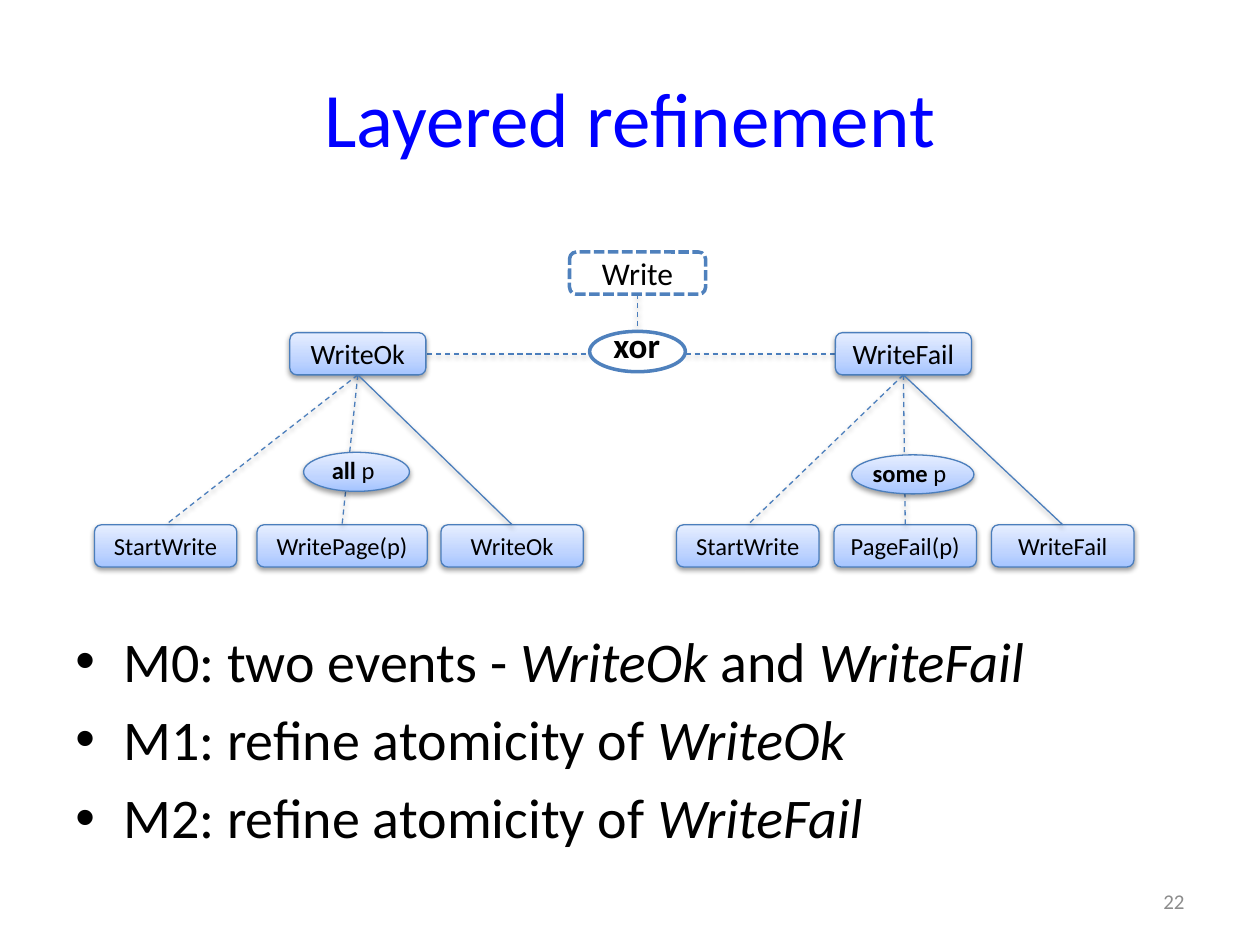
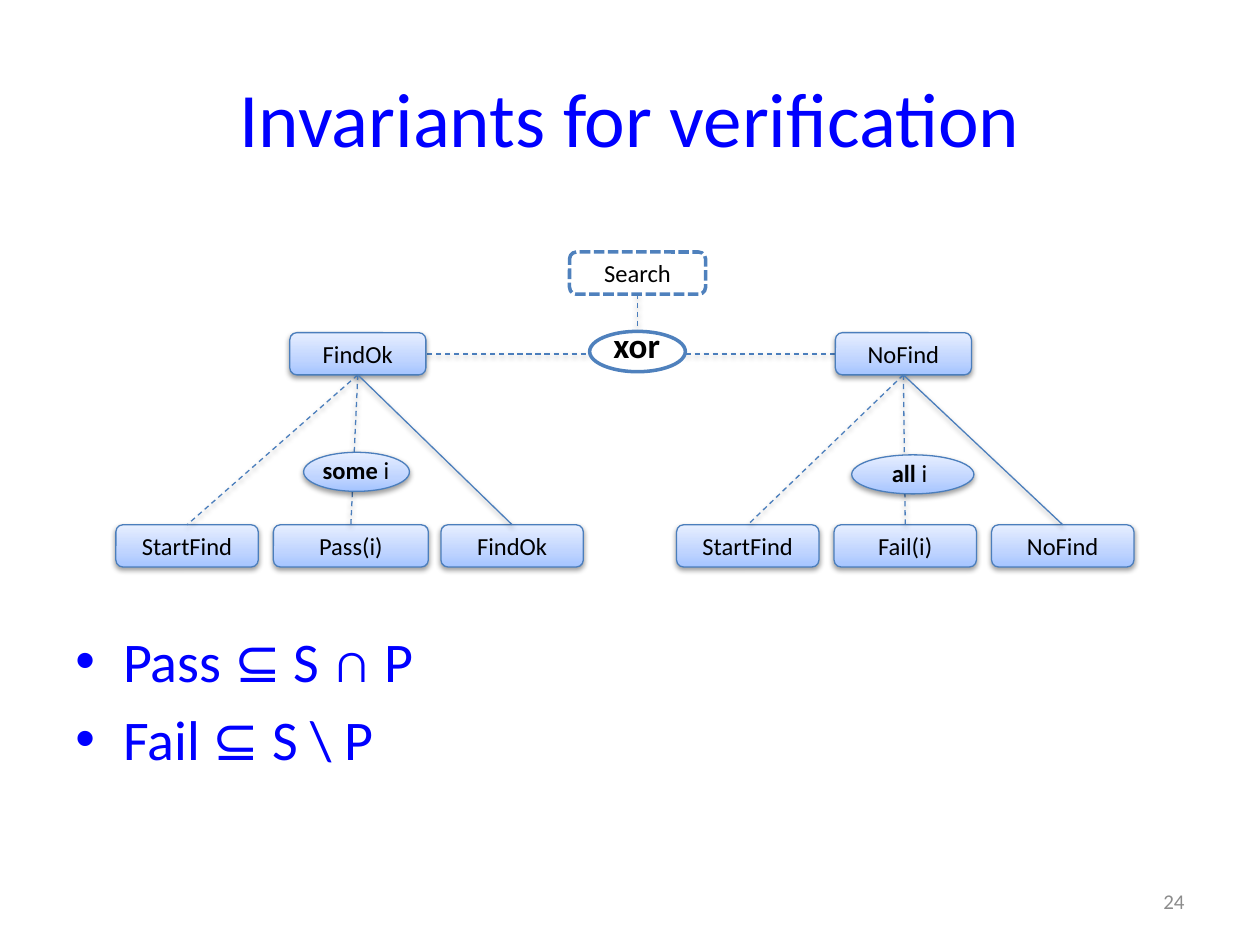
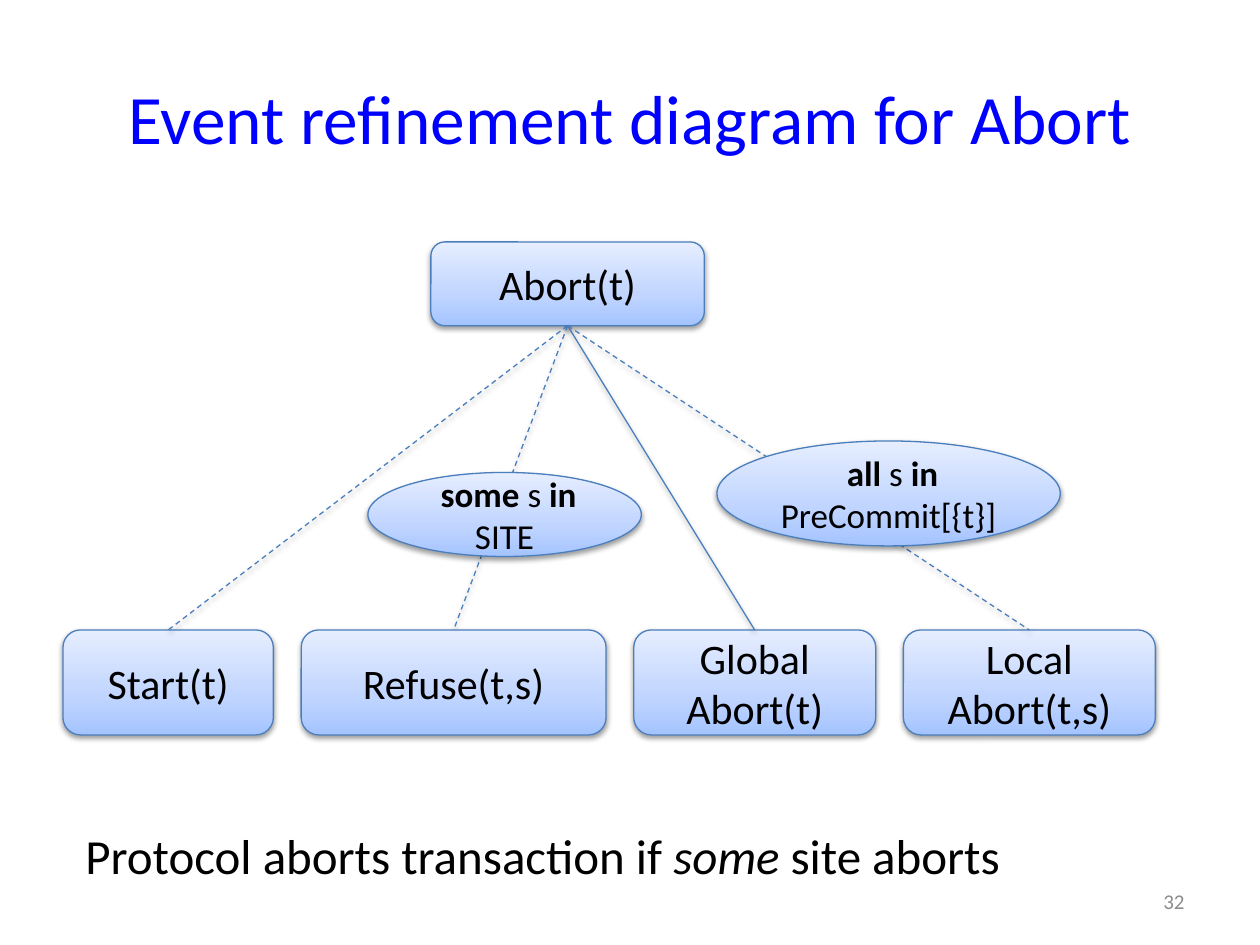
from lxml import etree
from pptx import Presentation
from pptx import util as u
from pptx.dml.color import RGBColor
from pptx.enum import dml, shapes, text
from pptx.oxml import parse_xml
from pptx.oxml.ns import nsdecls, qn

COLS, ROWS = 100, 75
FONT = "Calibri"
BLACK, WHITE, BLUE, GREY = "000000", "FFFFFF", "0000FF", "8C8C8C"
EDGE, FRAME = "4B7EBC", "4F81BD"
STOPS = ((0, "A4C4FF"), (35, "BFD4FF"), (100, "E6EEFF"))
LEFT, MID, RIGHT = text.PP_ALIGN.LEFT, text.PP_ALIGN.CENTER, text.PP_ALIGN.RIGHT
ROUND = shapes.MSO_SHAPE.ROUNDED_RECTANGLE
OVAL = shapes.MSO_SHAPE.OVAL
DASH, DOTS = dml.MSO_LINE.DASH, dml.MSO_LINE.SQUARE_DOT


def hue(code):
    return RGBColor.from_string(code)


def shade(part):
    part.append(parse_xml(
        f'<a:effectLst {nsdecls("a")}><a:outerShdw blurRad="{u.Pt(3.1)}" '
        f'dist="{u.Pt(1.6)}" dir="5400000" rotWithShape="0">'
        '<a:srgbClr val="000000"><a:alpha val="38000"/></a:srgbClr>'
        '</a:outerShdw></a:effectLst>'))


def blend(part):
    stops = "".join(f'<a:gs pos="{at * 1000}"><a:srgbClr val="{code}"/></a:gs>'
                    for at, code in STOPS)
    part.find(qn("a:prstGeom")).addnext(parse_xml(
        f'<a:gradFill {nsdecls("a")} rotWithShape="1"><a:gsLst>{stops}</a:gsLst>'
        '<a:lin ang="16200000" scaled="0"/></a:gradFill>'))


class Deck:
    def __init__(self):
        self.show = Presentation()
        self.show.slide_width = u.Inches(10)
        self.show.slide_height = u.Inches(7.5)
        self.page = None

    def area(self, *grid):
        wide, high = self.show.slide_width, self.show.slide_height
        return [round(v * (high / ROWS if n % 2 else wide / COLS))
                for n, v in enumerate(grid)]

    def start(self, title, number, size=44):
        self.page = self.show.slides.add_slide(self.show.slide_layouts[6])
        mid = text.MSO_ANCHOR.MIDDLE
        self.label((5, 3, 90, 12.5), [(title, "")], size, BLUE, MID, mid)
        self.label((71.7, 69.5, 23.3, 4), [(number, "")], 12, GREY, RIGHT, mid)

    def fill(self, para, runs, size, color=BLACK):
        for words, look in runs:
            run = para.add_run()
            run.text = words
            font = run.font
            font.name, font.size = FONT, u.Pt(size)
            font.color.rgb = hue(color)
            font.bold, font.italic = look == "b", look == "i"

    def label(self, at, runs, size, color=BLACK, align=LEFT,
              anchor=text.MSO_ANCHOR.TOP, wrap=True):
        frame = self.page.shapes.add_textbox(*self.area(*at)).text_frame
        frame.word_wrap = wrap
        frame.vertical_anchor = anchor
        frame.paragraphs[0].alignment = align
        self.fill(frame.paragraphs[0], runs, size, color)

    def points(self, items, color):
        frame = self.page.shapes.add_textbox(*self.area(5, 49.2, 90, 17.8)).text_frame
        frame.word_wrap = True
        for n, runs in enumerate(items):
            para = frame.add_paragraph() if n else frame.paragraphs[0]
            props = para._p.get_or_add_pPr()
            props.set("marL", str(u.Inches(0.38)))
            props.set("indent", str(-u.Inches(0.38)))
            etree.SubElement(props, qn("a:buFont")).set("typeface", "Arial")
            etree.SubElement(props, qn("a:buChar")).set("char", "•")
            if n:
                para.space_before = u.Pt(6.4)
            self.fill(para, runs, 32, color)

    def node(self, at, runs=(), size=14, kind=ROUND, plain=False, dash=None):
        box = self.page.shapes.add_shape(kind, *self.area(*at))
        box.line.color.rgb = hue(FRAME if plain else EDGE)
        box.line.width = u.Pt(2 if plain else 0.75)
        if dash:
            box.line.dash_style = dash
        if plain:
            box.fill.solid()
            box.fill.fore_color.rgb = hue(WHITE)
            box.shadow.inherit = False
        else:
            blend(box._element.spPr)
            shade(box._element.spPr)
        frame = box.text_frame
        frame.word_wrap = True
        frame.vertical_anchor = text.MSO_ANCHOR.MIDDLE
        frame.paragraphs[0].alignment = MID
        self.fill(frame.paragraphs[0], runs, size)

    def link(self, ends, dash=DASH):
        line = self.page.shapes.add_connector(
            shapes.MSO_CONNECTOR.STRAIGHT, *self.area(*ends))
        line.line.color.rgb = hue(EDGE)
        line.line.width = u.Pt(0.75)
        if dash:
            line.line.dash_style = dash
        shade(line._element.spPr)

    def fork(self, root, leaves, top, high, size, firm=2):
        left, head, wide, tall = root
        for n, (x, w, name) in enumerate(leaves):
            self.node((x, top, w, high), [(name, "")], size)
            self.link((left + wide / 2, head + tall, x + w / 2, top),
                      None if n == firm else DASH)

    def badge(self, at, word, var):
        left, top, wide, high = at
        self.node(at, kind=OVAL)
        self.label((left - 0.1, top - 0.25, wide + 0.1, high + 0.3),
                   [(word + " ", "b"), (var, "")], 14, align=MID)

    def choice(self, root, size, sides):
        self.node((45.2, 20, 10.8, 3.35), [(root[0], "")], root[1],
                  plain=True, dash=DOTS)
        for ends in ((33.9, 28.1, 47.5, 28.1), (53.7, 28.1, 66.3, 28.1),
                     (50.6, 23.3, 50.6, 26.2)):
            self.link(ends)
        spots = ((23, (24.1, 35.9, 8.4, 3.1)), (66.3, (67.6, 36.1, 9.7, 3.1)))
        for (left, spot), (name, leaves, word, var) in zip(spots, sides):
            head = (left, 26.4, 10.8, 3.35)
            self.node(head, [(name, "")], size)
            self.fork(head, leaves, 41.65, 3.35, 14)
            self.badge(spot, word, var)
        self.node((46.8, 26.3, 7.6, 3.2), kind=OVAL, plain=True)
        self.label((47.7, 25.2, 8.6, 4.4), [("xor", "b")], 20)


def trio(*names):
    return [(53.7 + 12.5 * n, 11.3, name) for n, name in enumerate(names)]


def spread(left, gap, *parts):
    leaves = []
    for wide, name in parts:
        leaves.append((left, wide, name))
        left += wide + gap
    return leaves


def main():
    deck = Deck()

    deck.start("Layered refinement", "22")
    deck.choice(("Write", 18), 16, (
        ("WriteOk", [(7.5, 11.3, "StartWrite"), (20.4, 13.5, "WritePage(p)"),
                     (35, 11.3, "WriteOk")], "all", "p "),
        ("WriteFail", trio("StartWrite", "PageFail(p)", "WriteFail"), "some", "p ")))
    deck.points([
        [("M0: two events - ", ""), ("WriteOk ", "i"), ("and ", ""), ("WriteFail", "i")],
        [("M1: refine atomicity of ", ""), ("WriteOk", "i")],
        [("M2: refine atomicity of ", ""), ("WriteFail", "i")]], BLACK)

    deck.start("Invariants for verification", "24")
    deck.choice(("Search", 14), 14, (
        ("FindOk", [(9.2, 11.3, "StartFind"), (21.7, 12.3, "Pass(i)"),
                    (35, 11.3, "FindOk")], "some", "i"),
        ("NoFind", trio("StartFind", "Fail(i)", "NoFind"), "all", "i ")))
    deck.points([[("Pass ⊆ S ∩ P", "")], [("Fail ⊆ S \\ P", "")]], BLUE)

    deck.start("Event refinement diagram for Abort", "32", 39.6)
    head = (34.2, 19.2, 21.7, 6.65)
    deck.node(head, [("Abort(t)", "")], 24)
    deck.fork(head, spread(5, 2.2, (16.7, "Start(t)"), (24.2, "Refuse(t,s)"),
                           (19.2, "Global Abort(t)"), (20, "Local Abort(t,s)")),
              50, 8.33, 24)
    for at, word, group in (((56.9, 35, 27.25, 8.33), "all ", "PreCommit[{t}]"),
                            ((29.2, 37.5, 21.7, 6.67), "some ", "SITE")):
        deck.node(at, [(" ", ""), (word, "b"), ("s ", ""), ("in ", "b"), (group, "")],
                  20, OVAL)
    deck.label((5.8, 65, 75.6, 5.7), [("Protocol aborts transaction if ", ""),
               ("some ", "i"), ("site aborts", "")], 28, wrap=False)

    deck.show.save("out.pptx")


if __name__ == "__main__":
    main()
